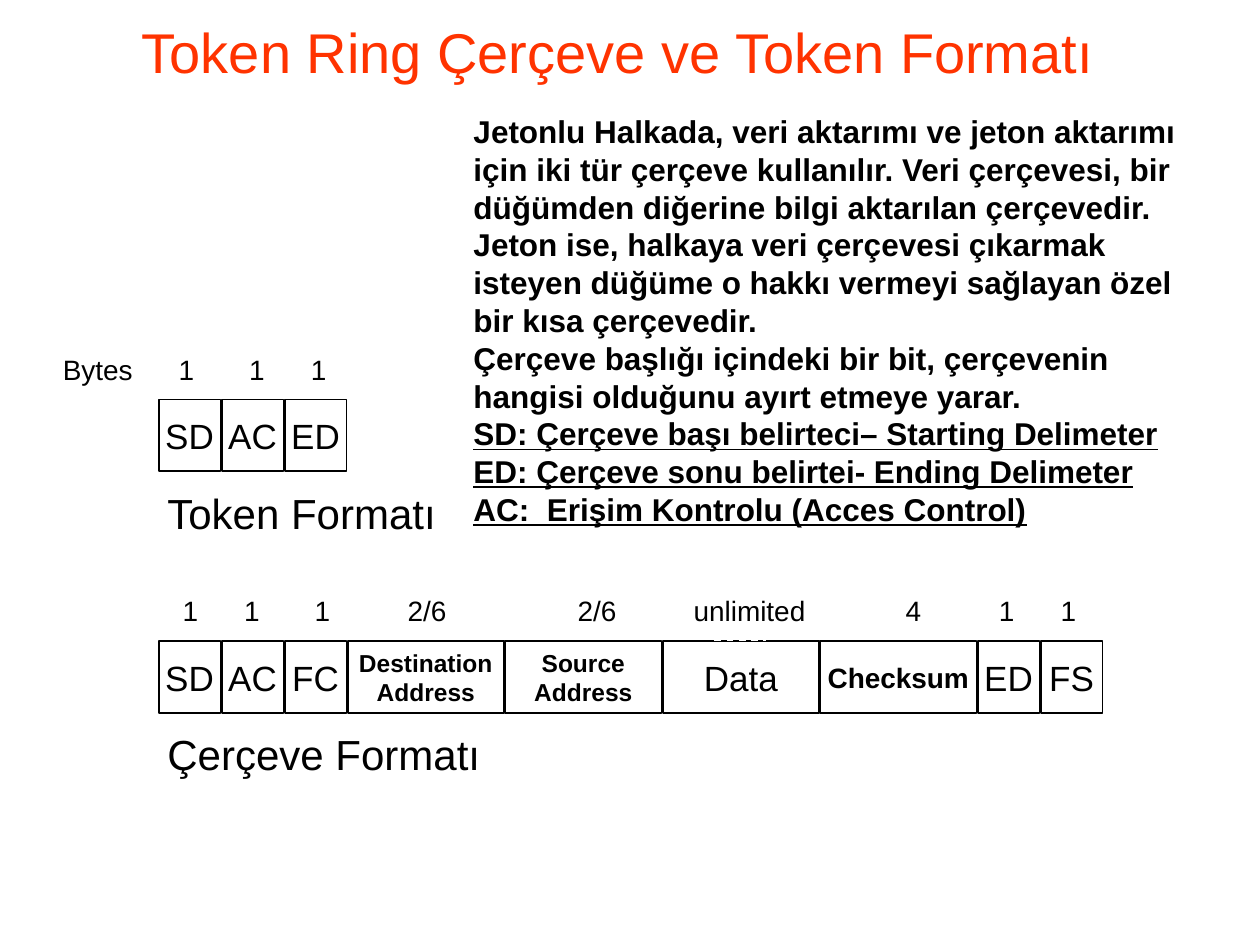
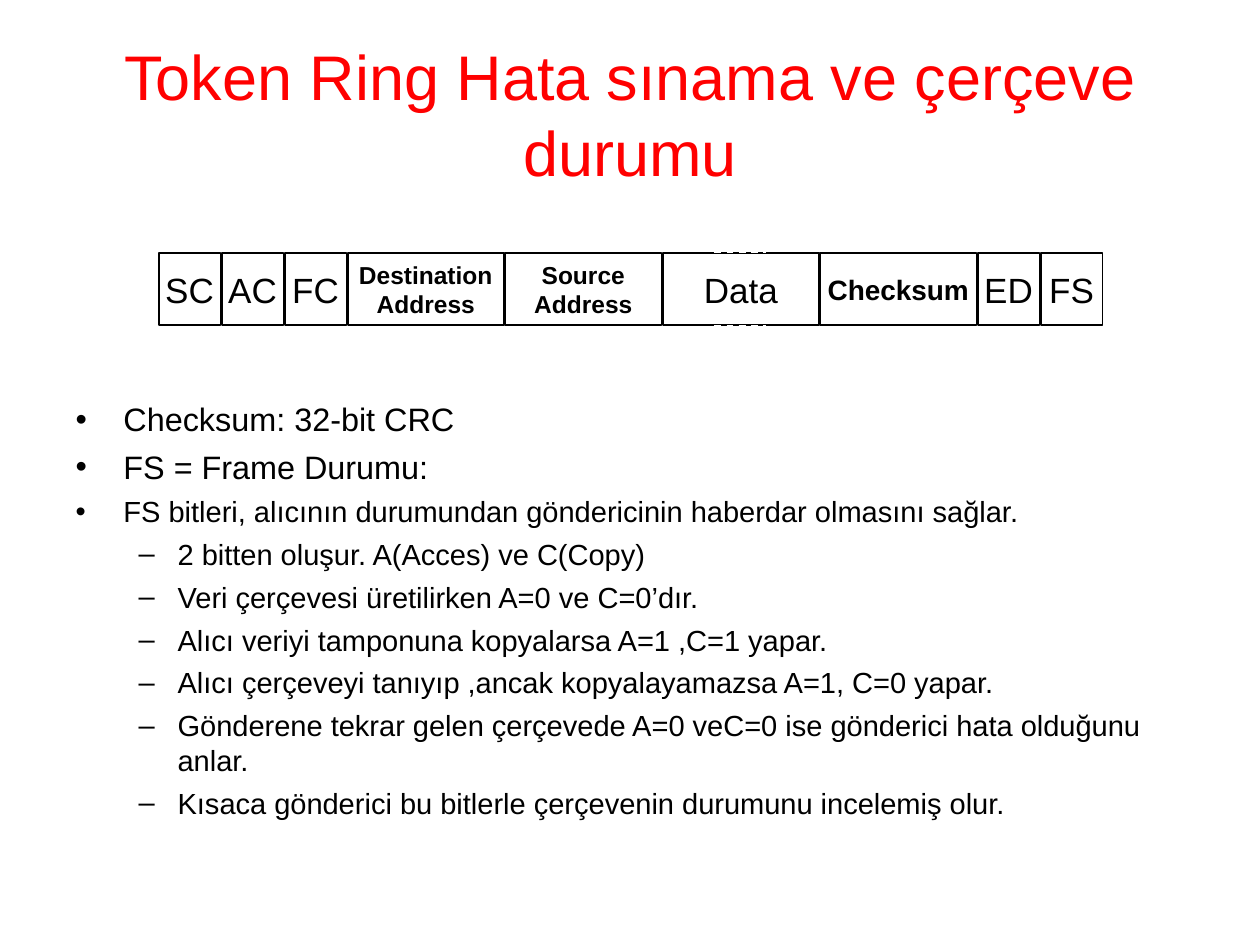
from lxml import etree
from pptx import Presentation
from pptx.dml.color import RGBColor
from pptx.enum.dml import MSO_LINE
from pptx.enum.shapes import MSO_CONNECTOR, MSO_SHAPE
from pptx.enum.text import MSO_ANCHOR, MSO_AUTO_SIZE, PP_ALIGN
from pptx.oxml.ns import qn
from pptx.util import Inches, Pt

CENTER, LEFT = PP_ALIGN.CENTER, PP_ALIGN.LEFT
MIDDLE, BOTTOM = MSO_ANCHOR.MIDDLE, MSO_ANCHOR.BOTTOM
CONTENT_LAYOUT, TITLE_ONLY_LAYOUT = 1, 5
FONT, BLACK, WHITE = "Arial", "000000", "FFFFFF"

# Fields: label, width in inches, font format
NARROW, WIDE, GAP = 0.49, 1.24, 0.01
FIELDS_LEFT, FIELD_HEIGHT = 1.26, 0.57
PLAIN = {"size": Pt(20)}
ADDRESS = {"size": Pt(14), "bold": True}
FRAME_TAIL = [
    ("AC", NARROW, PLAIN),
    ("FC", NARROW, PLAIN),
    ("Destination\nAddress", WIDE, ADDRESS),
    ("Source\nAddress", WIDE, ADDRESS),
    ("Data", WIDE, PLAIN),
    ("Checksum", WIDE, {"size": Pt(16), "bold": True}),
    ("ED", NARROW, PLAIN),
    ("FS", NARROW, PLAIN),
]
TOKEN = [(name, NARROW, PLAIN) for name in ("SD", "AC", "ED")]

# Byte counts: text and the centre of its column in inches
TOKEN_BYTES = [("1", 1.48), ("1", 2.04), ("1", 2.53)]
FRAME_BYTES = [("1", 1.51), ("1", 2.0), ("1", 2.56), ("2/6", 3.39), ("2/6", 4.74),
               ("unlimited", 5.95), ("4", 7.25), ("1", 7.99), ("1", 8.48)]

# Captions: text, left, top, width, height, size
CAPTIONS = [
    ("Token Formatı", 1.23, 3.82, 2.37, 0.5, 24),
    ("Çerçeve Formatı", 1.23, 5.73, 2.68, 0.5, 24),
    ("Bytes", 0.4, 2.75, 0.76, 0.37, 16),
]
EXPLANATION = [
    "Jetonlu Halkada, veri aktarımı ve jeton aktarımı için iki tür çerçeve kullanılır. "
    "Veri çerçevesi, bir düğümden diğerine bilgi aktarılan çerçevedir.",
    "Jeton ise, halkaya veri çerçevesi çıkarmak isteyen düğüme o hakkı vermeyi sağlayan "
    "özel bir kısa çerçevedir.",
    "Çerçeve başlığı içindeki bir bit, çerçevenin hangisi olduğunu ayırt etmeye yarar.",
]
ABBREVIATIONS = [
    "SD: Çerçeve başı belirteci– Starting Delimeter",
    "ED: Çerçeve sonu belirtei- Ending Delimeter",
    "AC:  Erişim Kontrolu (Acces Control)",
]

# Bullet styles: level, mark, indent, hanging, size, space before
TOPIC = (0, "•", 0.38, 0.38, 18.5, 5)
REMARK = (0, "•", 0.38, 0.38, 16.6, 4.5)
DETAIL = (1, "–", 0.81, 0.31, 16.6, 4.5)
STATUS_POINTS = [
    ("Checksum: 32-bit CRC", TOPIC),
    ("FS = Frame Durumu:", TOPIC),
    ("FS bitleri, alıcının durumundan göndericinin haberdar olmasını sağlar.", REMARK),
    ("2 bitten oluşur. A(Acces) ve C(Copy)", DETAIL),
    ("Veri çerçevesi üretilirken A=0 ve C=0’dır.", DETAIL),
    ("Alıcı veriyi tamponuna kopyalarsa A=1 ,C=1 yapar.", DETAIL),
    ("Alıcı çerçeveyi tanıyıp ,ancak kopyalayamazsa A=1, C=0 yapar.", DETAIL),
    ("Gönderene tekrar gelen çerçevede A=0 veC=0 ise gönderici hata olduğunu anlar.", DETAIL),
    ("Kısaca gönderici bu bitlerle çerçevenin durumunu incelemiş olur.", DETAIL),
]


def color(value):
    return RGBColor.from_string(value)


def set_all(target, values):
    for name, value in values.items():
        setattr(target, name, value)


def place(shape, left, top, width, height):
    set_all(shape, {"left": Inches(left), "top": Inches(top),
                    "width": Inches(width), "height": Inches(height)})


def write(frame, lines, align=LEFT, ink=BLACK, **font):
    """Fill a text frame, one paragraph a line, and return the paragraphs."""
    frame.text = "\n".join(lines)
    for para in frame.paragraphs:
        para.alignment = align
        for span in para.runs:
            set_all(span.font, {"name": FONT, **font})
            span.font.color.rgb = color(ink)
    return frame.paragraphs


def add_title(page, text, area, size, ink):
    place(page.shapes.title, *area)
    frame = page.shapes.title.text_frame
    set_all(frame, {"vertical_anchor": BOTTOM, "word_wrap": True,
                    "auto_size": MSO_AUTO_SIZE.NONE})
    write(frame, [text], CENTER, ink, size=Pt(size))


def add_text(page, lines, left, top, width, height, wrap=False, **font):
    box = page.shapes.add_textbox(*map(Inches, (left, top, width, height)))
    box.text_frame.word_wrap = wrap
    return box.text_frame, write(box.text_frame, lines, **font)


def add_fields(page, fields, top):
    left = FIELDS_LEFT
    for label, width, font in fields:
        box = page.shapes.add_shape(
            MSO_SHAPE.RECTANGLE, *map(Inches, (left, top, width, FIELD_HEIGHT)))
        box.shadow.inherit = False
        box.fill.solid()
        box.fill.fore_color.rgb = color(WHITE)
        box.line.color.rgb = color(BLACK)
        box.line.width = Pt(1)
        set_all(box.text_frame, {"word_wrap": False, "vertical_anchor": MIDDLE})
        write(box.text_frame, label.split("\n"), CENTER, **font)
        left += width + GAP


def add_frame(page, first_field, top):
    """Draw the whole frame; white dashes open the edges of its data field."""
    add_fields(page, [(first_field, NARROW, PLAIN)] + FRAME_TAIL, top)
    for y in (top - 0.01, top + FIELD_HEIGHT + 0.01):
        dash = page.shapes.add_connector(
            MSO_CONNECTOR.STRAIGHT, *map(Inches, (5.67, y, 6.08, y)))
        dash.line.color.rgb = color(WHITE)
        set_all(dash.line, {"width": Pt(1), "dash_style": MSO_LINE.DASH})
        etree.SubElement(dash._element.spPr, qn("a:effectLst"))


def add_byte_counts(page, counts, left, top, width):
    """Write the counts on one line, each after the first at a centred tab."""
    line = "\t".join(text for text, _ in counts)
    frame, paras = add_text(page, [line], left, top, width, 0.37, True, size=Pt(16))
    frame.margin_right = 0
    tabs = etree.SubElement(paras[0]._p.get_or_add_pPr(), qn("a:tabLst"))
    for _, middle in counts[1:]:
        position = Inches(middle - left - 0.1)
        etree.SubElement(tabs, qn("a:tab"), pos=str(position), algn="ctr")


def add_bullets(box, points):
    frame = box.text_frame
    frame.auto_size = MSO_AUTO_SIZE.NONE
    paras = write(frame, [text for text, _ in points])
    for index, (para, (_, style)) in enumerate(zip(paras, points)):
        level, mark, indent, hanging, size, before = style
        properties = para._p.get_or_add_pPr()
        properties.set("marL", str(Inches(indent)))
        properties.set("indent", str(-Inches(hanging)))
        etree.SubElement(properties, qn("a:buChar"), char=mark)
        set_all(para, {"level": level, "space_before": Pt(before if index else 0)})
        para.runs[0].font.size = Pt(size)


def build_formats(deck):
    page = deck.slides.add_slide(deck.slide_layouts[TITLE_ONLY_LAYOUT])
    add_title(page, "Token Ring Çerçeve ve Token Formatı",
              (0.37, 0.17, 9.07, 0.55), 32, "FF3300")
    add_fields(page, TOKEN, 3.17)
    add_frame(page, "SD", 5.09)
    for text, left, top, width, height, size in CAPTIONS:
        add_text(page, [text], left, top, width, height, size=Pt(size))
    add_byte_counts(page, TOKEN_BYTES, 1.32, 2.75, 1.37)
    add_byte_counts(page, FRAME_BYTES, 1.35, 4.66, 7.31)
    _, paras = add_text(page, EXPLANATION + ABBREVIATIONS, 3.66, 0.84, 5.86, 3.4, True,
                        size=Pt(18), bold=True)
    for para in paras[len(EXPLANATION):]:
        para.runs[0].font.underline = True


def build_status(deck):
    page = deck.slides.add_slide(deck.slide_layouts[CONTENT_LAYOUT])
    add_title(page, "Token Ring Hata sınama ve çerçeve durumu",
              (0.5, 0.3, 9, 1.25), 36, "FF0000")
    body = page.placeholders[1]
    place(body, 0.5, 3.12, 9, 3.58)
    add_bullets(body, STATUS_POINTS)
    add_frame(page, "SC", 2.01)


def main():
    deck = Presentation()
    set_all(deck, {"slide_width": Inches(10), "slide_height": Inches(7.5)})
    build_formats(deck)
    build_status(deck)
    deck.save("out.pptx")


if __name__ == "__main__":
    main()
